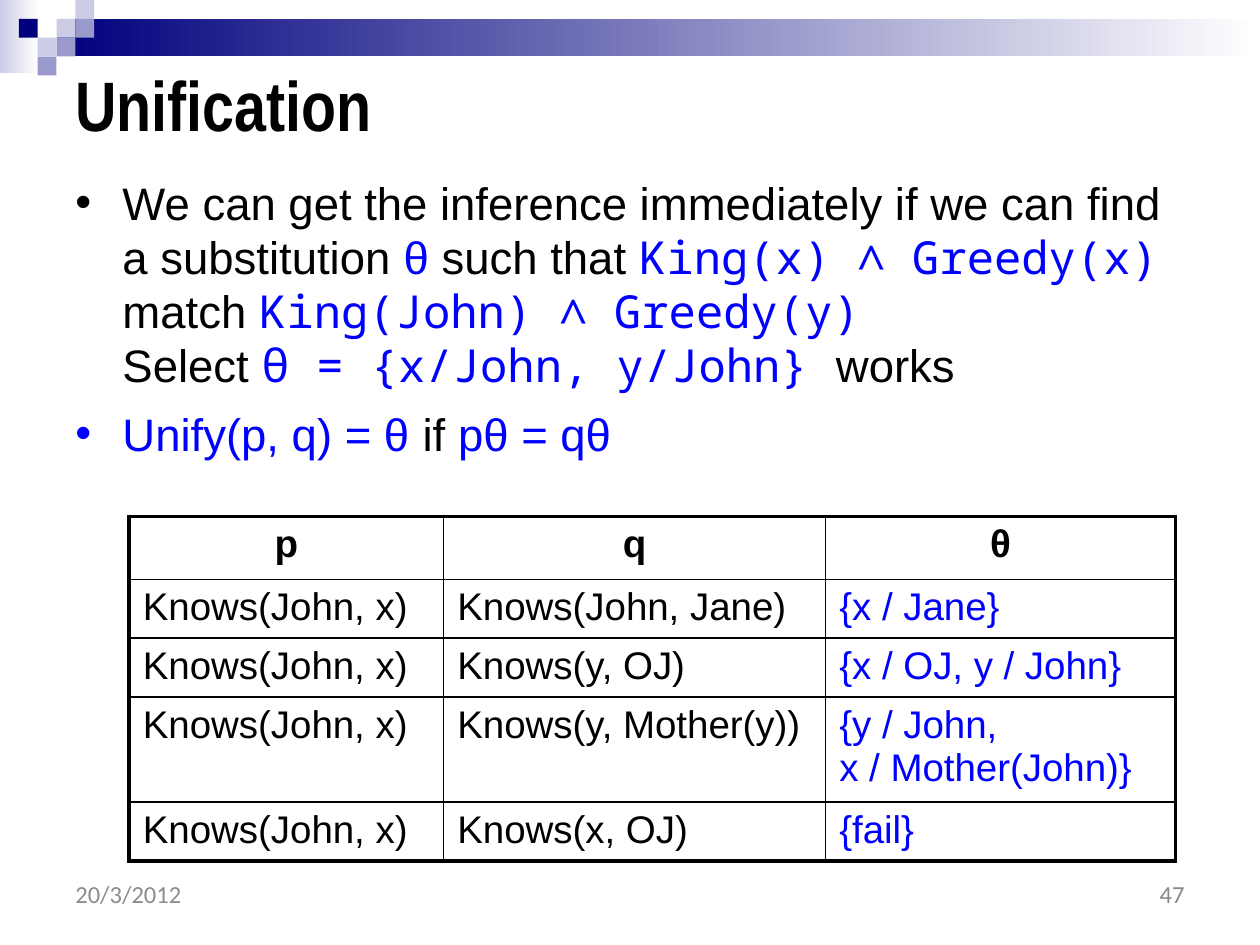
from dataclasses import dataclass

from lxml.etree import SubElement
from pptx import Presentation
from pptx.dml.color import RGBColor
from pptx.enum.shapes import MSO_SHAPE
from pptx.enum.text import MSO_ANCHOR, PP_ALIGN
from pptx.oxml.ns import qn
from pptx.oxml.xmlchemy import OxmlElement
from pptx.util import Cm, Pt


@dataclass(frozen=True)
class Theme:
    black: str = "000000"
    blue: str = "0000FF"
    navy: str = "00007D"
    violet: str = "9999CC"
    lilac: str = "CCCCE6"
    white: str = "FFFFFF"
    date_gray: str = "8C8C8C"
    number_gray: str = "898989"
    sans: str = "Arial"
    narrow: str = "Arial Narrow"
    mono: str = "Noto Sans Mono"
    footer: str = "Calibri"
    title_size: float = 40
    body_size: float = 26
    table_size: float = 22
    footer_size: float = 14
    thick: float = 2.25
    thin: float = 1


@dataclass(frozen=True)
class Box:
    """A rectangle in centimetres."""
    left: float
    top: float
    width: float
    height: float

    def lengths(self):
        return Cm(self.left), Cm(self.top), Cm(self.width), Cm(self.height)


@dataclass(frozen=True)
class Span:
    text: str
    color: str = Theme.black
    font: str = Theme.sans


THEME = Theme()
UNIT = 0.38  # side of a decoration square, cm

SQUARES = [  # column, row, colour
    (3, 1, THEME.lilac), (4, 0, THEME.lilac), (4, 1, THEME.violet),
    (2, 2, THEME.lilac), (1, 1, THEME.navy), (3, 2, THEME.violet),
    (2, 3, THEME.violet),
]

BULLETS = [
    [
        Span("We can get the inference immediately if we can find a substitution "),
        Span("θ", THEME.blue),
        Span(" such that "),
        Span("King(x) ∧ Greedy(x) ", THEME.blue, THEME.mono),
        Span("match "),
        Span("King(John) ∧ Greedy(y)\n", THEME.blue, THEME.mono),
        Span("Select "),
        Span("θ = {x/John, y/John} ", THEME.blue, THEME.mono),
        Span("works"),
    ],
    [
        Span("Unify(p, q) = θ ", THEME.blue),
        Span("if "),
        Span("pθ = qθ", THEME.blue),
    ],
]

COLUMN_WIDTHS = [6.34, 7.7, 7.06]
ROW_HEIGHTS = [1.27, 1.12, 1.12, 1.98, 1.12]
ROWS = [
    ("p", "q", "θ"),
    ("Knows(John, x)", "Knows(John, Jane)", "{x / Jane}"),
    ("Knows(John, x)", "Knows(y, OJ)", "{x / OJ, y / John}"),
    ("Knows(John, x)", "Knows(y, Mother(y))", "{y / John, \nx / Mother(John)}"),
    ("Knows(John, x)", "Knows(x, OJ)", "{fail}"),
]


def add_text(para, text: str, *, size: float, font: str = THEME.sans,
             color: str = THEME.black, bold: bool = False) -> None:
    for index, line in enumerate(text.split("\n")):
        if index:
            para.add_line_break()
        if line:
            run = para.add_run()
            run.text = line
            run.font.size = Pt(size)
            run.font.name = font
            run.font.bold = bold
            run.font.color.rgb = RGBColor.from_string(color)


def add_text_box(page, box: Box, anchor=MSO_ANCHOR.MIDDLE):
    frame = page.shapes.add_textbox(*box.lengths()).text_frame
    frame.word_wrap = True
    frame.vertical_anchor = anchor
    return frame


def add_label(page, box: Box, text: str, *, align=PP_ALIGN.LEFT, **style) -> None:
    para = add_text_box(page, box).paragraphs[0]
    para.alignment = align
    add_text(para, text, **style)


def add_block(page, box: Box, *colors: str) -> None:
    """Draw a plain rectangle, or a left-to-right gradient for two colours."""
    shape = page.shapes.add_shape(MSO_SHAPE.RECTANGLE, *box.lengths())
    shape.shadow.inherit = False
    shape.line.fill.background()
    if len(colors) == 1:
        shape.fill.solid()
        shape.fill.fore_color.rgb = RGBColor.from_string(colors[0])
        return
    shape.fill.gradient()
    shape.fill.gradient_angle = 0
    for position, (stop, color) in enumerate(zip(shape.fill.gradient_stops, colors)):
        stop.position = position
        stop.color.rgb = RGBColor.from_string(color)


def add_bullets(page, box: Box, bullets: list[list[Span]]) -> None:
    frame = add_text_box(page, box, MSO_ANCHOR.TOP)
    for index, spans in enumerate(bullets):
        para = frame.add_paragraph() if index else frame.paragraphs[0]
        para.space_before = Pt(8)
        para.line_spacing = Pt(31)
        properties = para._p.get_or_add_pPr()
        properties.set("marL", str(Cm(0.95)))
        properties.set("indent", str(-Cm(0.95)))
        SubElement(properties, qn("a:buFont")).set("typeface", THEME.sans)
        SubElement(properties, qn("a:buChar")).set("char", "•")
        for span in spans:
            add_text(para, span.text, size=THEME.body_size, font=span.font, color=span.color)


def set_borders(cell, outer: dict[str, bool]) -> None:
    properties = cell._tc.get_or_add_tcPr()
    for index, (side, is_outer) in enumerate(outer.items()):
        line = OxmlElement(f"a:ln{side}")
        line.set("w", str(Pt(THEME.thick if is_outer else THEME.thin)))
        fill = SubElement(line, qn("a:solidFill"))
        SubElement(fill, qn("a:srgbClr")).set("val", THEME.black)
        properties.insert(index, line)


def add_unifier_table(page, left: float, top: float) -> None:
    box = Box(left, top, sum(COLUMN_WIDTHS), sum(ROW_HEIGHTS))
    table = page.shapes.add_table(len(ROWS), len(COLUMN_WIDTHS), *box.lengths()).table
    table.first_row = table.horz_banding = False
    for column, width in zip(table.columns, COLUMN_WIDTHS):
        column.width = Cm(width)
    last_row, last_column = len(ROWS) - 1, len(COLUMN_WIDTHS) - 1
    for r, texts in enumerate(ROWS):
        table.rows[r].height = Cm(ROW_HEIGHTS[r])
        for c, text in enumerate(texts):
            cell = table.cell(r, c)
            cell.margin_left = cell.margin_right = Cm(0.28)
            cell.fill.background()
            set_borders(cell, {"L": c == 0, "R": c == last_column,
                               "T": r == 0, "B": r == last_row})
            para = cell.text_frame.paragraphs[0]
            header = r == 0
            para.alignment = PP_ALIGN.CENTER if header else PP_ALIGN.LEFT
            color = THEME.blue if c == last_column and not header else THEME.black
            add_text(para, text, size=THEME.table_size, color=color, bold=header)


def main() -> None:
    deck = Presentation()
    deck.slide_width, deck.slide_height = Cm(25.4), Cm(19.05)
    page = deck.slides.add_slide(deck.slide_layouts[6])

    # Header decoration
    add_block(page, Box(0, 0, 0.79, 1.47), THEME.lilac, THEME.white)
    add_block(page, Box(3 * UNIT, UNIT, 25.4 - 3 * UNIT, 2 * UNIT), THEME.navy, THEME.white)
    for column, row, color in SQUARES:
        add_block(page, Box(column * UNIT, row * UNIT, UNIT, UNIT), color)

    # Title, bullets and table
    add_label(page, Box(1.27, 1.14, 22.86, 1.9), "Unification",
              size=THEME.title_size, font=THEME.narrow, bold=True)
    add_bullets(page, Box(1.27, 3.4, 22.86, 7.19), BULLETS)
    add_unifier_table(page, 2.6, 10.41)

    # Footer
    add_label(page, Box(1.27, 17.58, 5.92, 0.89), "20/3/2012",
              size=THEME.footer_size, font=THEME.footer, color=THEME.date_gray)
    add_label(page, Box(18.21, 17.58, 5.92, 0.89), "47", align=PP_ALIGN.RIGHT,
              size=THEME.footer_size, font=THEME.footer, color=THEME.number_gray)

    deck.save("out.pptx")


if __name__ == "__main__":
    main()
